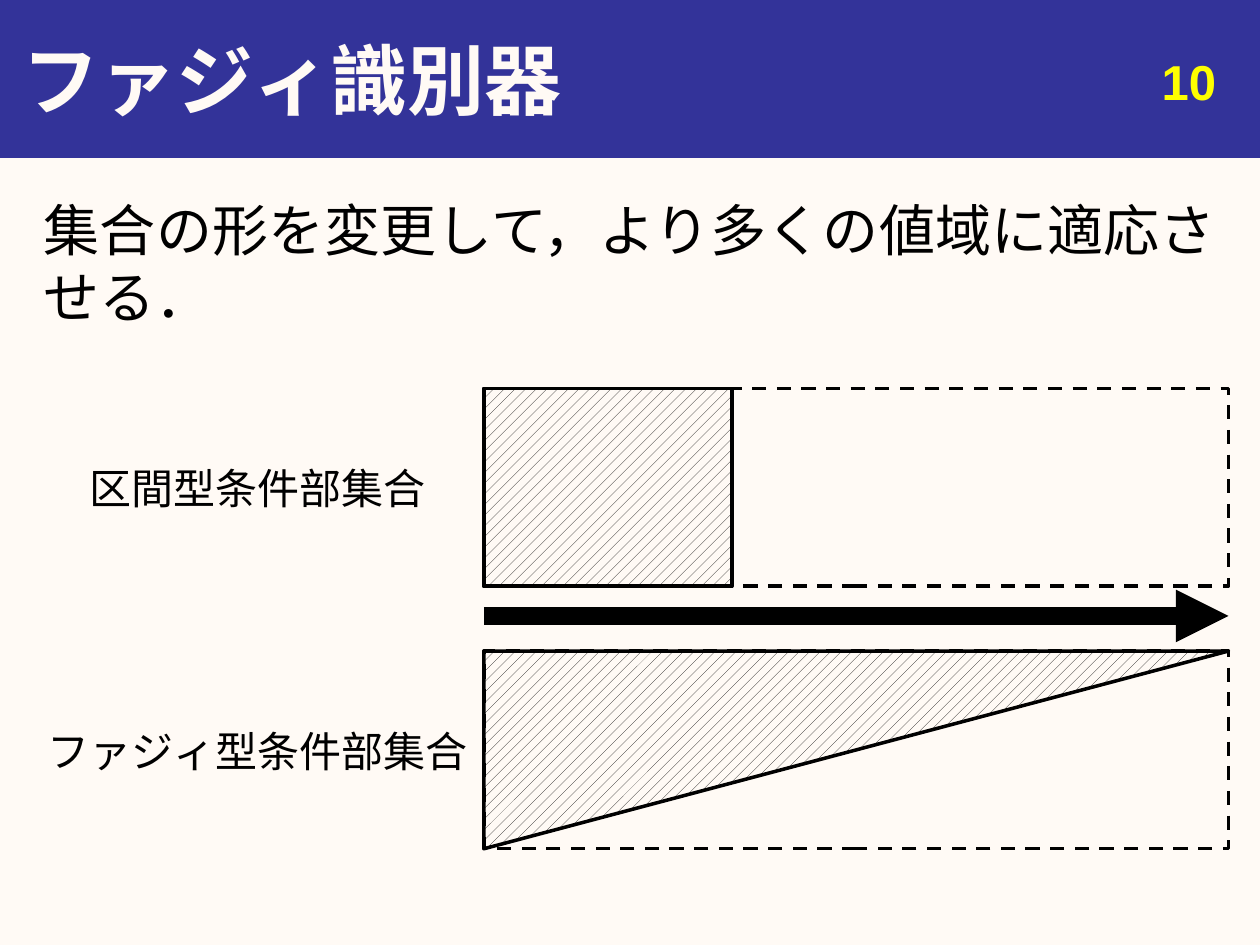
from lxml import etree
from pptx import Presentation
from pptx.dml.color import RGBColor
from pptx.enum import dml, shapes, text
from pptx.oxml.ns import qn
from pptx.util import Pt

COLORS = {"paper": "FFFAF5", "band": "333399", "ink": "000000",
          "hatch": "0D0D0D", "number": "FFFF00"}
FONT = "Arial"
MARGIN = 18
SET_X, SET_W, SET_H = 276.5, 425.5, 113


def rgb(name):
    return RGBColor.from_string(COLORS[name])


def add_text(s, box, words, size, color="ink", bold=False,
             align=text.PP_ALIGN.LEFT, anchor=text.MSO_ANCHOR.TOP, before=0):
    tf = s.shapes.add_textbox(*map(Pt, box)).text_frame
    tf.word_wrap = True
    tf.vertical_anchor = anchor
    p = tf.paragraphs[0]
    p.text = words
    p.alignment = align
    p.space_before = Pt(before)
    p.font.name, p.font.size, p.font.bold = FONT, Pt(size), bold
    p.font.color.rgb = rgb(color)


def add_outline(parent, kind, box, hatched=False, dashed=False):
    """Add a black-edged shape, either hatched or see-through."""
    sp = parent.shapes.add_shape(kind, *map(Pt, box))
    sp.shadow.inherit = False
    if hatched:
        sp.fill.patterned()
        sp.fill.pattern = dml.MSO_PATTERN.PERCENT_20
        sp.fill.fore_color.rgb = rgb("hatch")
        sp.fill.back_color.rgb = rgb("paper")
    else:
        sp.fill.background()
    sp.line.color.rgb = rgb("ink")
    sp.line.width = Pt(2)
    if dashed:
        sp.line.dash_style = dml.MSO_LINE.DASH
    return sp


def add_header(s, box, title, number):
    x, y, w, h = box
    band = s.shapes.add_shape(shapes.MSO_SHAPE.RECTANGLE, *map(Pt, box))
    band.shadow.inherit = False
    band.fill.solid()
    band.fill.fore_color.rgb = rgb("band")
    band.line.color.rgb = rgb("band")
    band.line.width = Pt(0.75)
    add_text(s, (x + 6, y, w - 6, h), title, 44, "paper", True,
             anchor=text.MSO_ANCHOR.MIDDLE)
    add_text(s, (x + w - MARGIN - 168, y + 26, 168, 37.5), number, 28,
             "number", True, text.PP_ALIGN.RIGHT)


def add_label(s, box, words):
    """Centre a label in the space left of a set's box."""
    x, y, w, h = box
    add_text(s, (MARGIN, y + h / 2 - 17.5, x - MARGIN, 36), words, 24,
             align=text.PP_ALIGN.CENTER)


def add_interval_set(s, box, label):
    x, y, w, h = box
    add_label(s, box, label)
    group = s.shapes.add_group_shape()
    rect = shapes.MSO_SHAPE.RECTANGLE
    add_outline(group, rect, (x, y, w / 3, h), hatched=True)
    add_outline(group, rect, box, dashed=True)


def add_fuzzy_set(s, box, label):
    add_label(s, box, label)
    group = s.shapes.add_group_shape()
    wedge = add_outline(group, shapes.MSO_SHAPE.ISOSCELES_TRIANGLE, box,
                        hatched=True)
    wedge.adjustments[0] = 1
    wedge.rotation = 180
    add_outline(group, shapes.MSO_SHAPE.RECTANGLE, box, dashed=True)


def add_arrow(s, x, y, w):
    arrow = s.shapes.add_connector(shapes.MSO_CONNECTOR.STRAIGHT,
                                   Pt(x), Pt(y), Pt(x + w), Pt(y))
    arrow.line.color.rgb = rgb("ink")
    arrow.line.width = Pt(10)
    etree.SubElement(arrow.line._get_or_add_ln(), qn("a:tailEnd"),
                     type="triangle")
    etree.SubElement(arrow._element.spPr, qn("a:effectLst"))


def main():
    prs = Presentation()
    prs.slide_width, prs.slide_height = Pt(720), Pt(540)
    s = prs.slides.add_slide(prs.slide_layouts[6])
    s.background.fill.solid()
    s.background.fill.fore_color.rgb = rgb("paper")

    add_header(s, (0, 0, 720, 90), "ファジィ識別器", "10")
    add_text(s, (MARGIN, 108, 720 - 2 * MARGIN, 408),
             "集合の形を変更して，より多くの値域に適応させる．", 32,
             align=text.PP_ALIGN.JUSTIFY, before=6.4)
    add_arrow(s, SET_X, 352, SET_W)
    add_interval_set(s, (SET_X, 222, SET_W, SET_H), "区間型条件部集合")
    add_fuzzy_set(s, (SET_X, 372, SET_W, SET_H), "ファジィ型条件部集合")
    prs.save("out.pptx")


if __name__ == "__main__":
    main()
